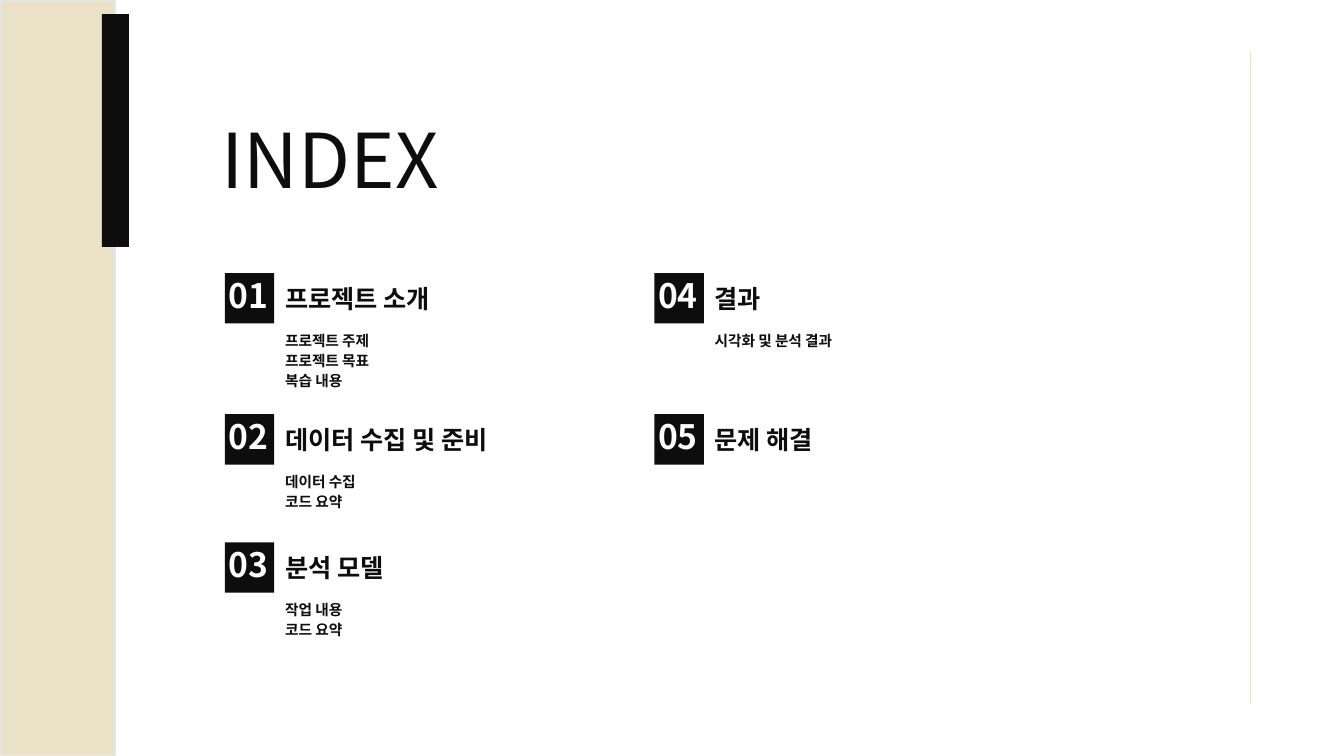
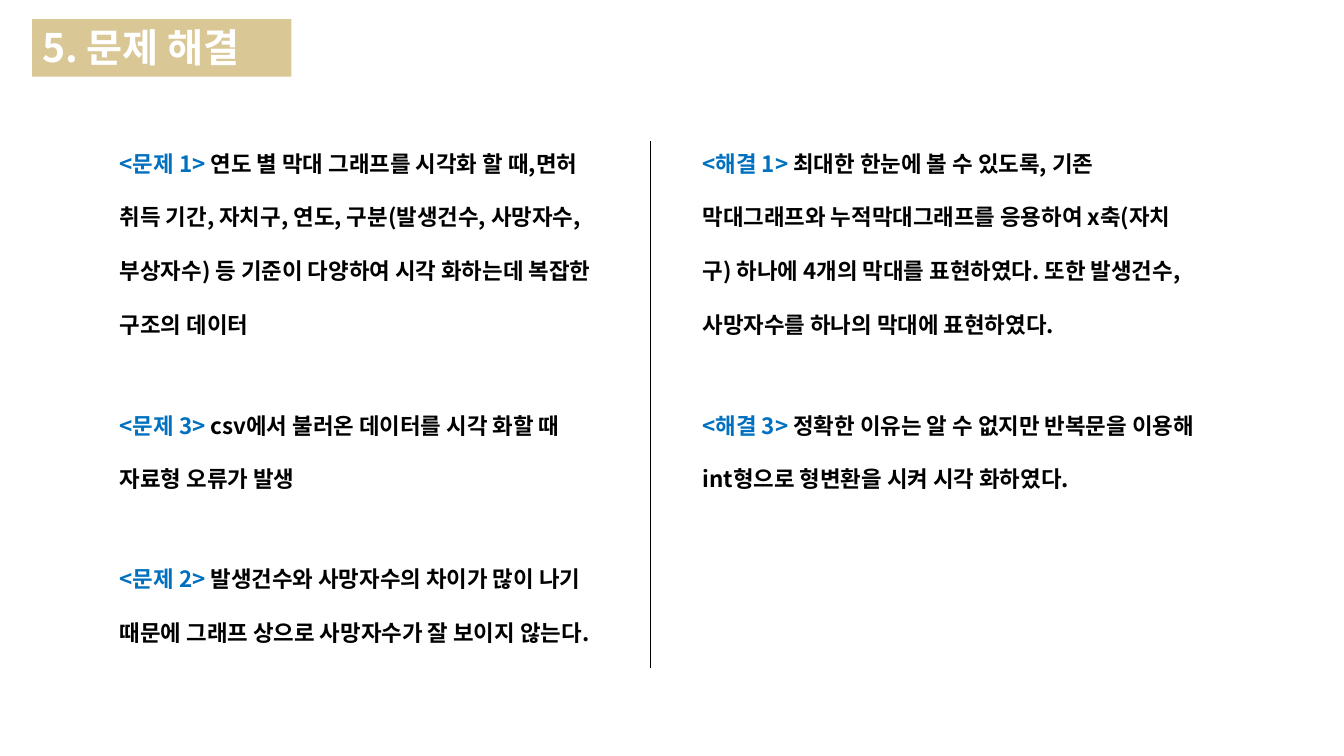
from dataclasses import dataclass

from lxml import etree
from pptx import Presentation
from pptx.dml.color import RGBColor
from pptx.enum.shapes import MSO_CONNECTOR, MSO_SHAPE
from pptx.enum.text import MSO_AUTO_SIZE
from pptx.oxml.ns import qn
from pptx.util import Inches, Pt

RECT = MSO_SHAPE.RECTANGLE
STRAIGHT = MSO_CONNECTOR.STRAIGHT
GROW = MSO_AUTO_SIZE.SHAPE_TO_FIT_TEXT


@dataclass(frozen=True)
class Theme:
    font: str = "Noto Sans CJK KR"
    ink: str = "0D0D0D"
    black: str = "000000"
    white: str = "FFFFFF"
    sand: str = "EBE1C7"
    gold: str = "DAC796"
    edge: str = "E6E6E6"
    blue: str = "0070C0"
    index_size: float = 54
    title_size: float = 28
    number_size: float = 24
    heading_size: float = 18
    body_size: float = 16
    item_size: float = 10.5


T = Theme()

# Columns of chapters: number, heading, items
CHAPTERS = [
    [
        ("01", "프로젝트 소개", ["프로젝트 주제", "프로젝트 목표", "복습 내용"]),
        ("02", "데이터 수집 및 준비", ["데이터 수집", "코드 요약"]),
        ("03", "분석 모델", ["작업 내용", "코드 요약"]),
    ],
    [
        ("04", "결과", ["시각화 및 분석 결과"]),
        ("05", "문제 해결", []),
    ],
]
CHAPTER_LEFTS = [2.23, 6.49]
CHAPTER_TOPS = [2.71, 4.11, 5.38]

# Columns of notes: label, text
NOTES = [
    [
        ("<문제 1> ", "연도 별 막대 그래프를 시각화 할 때,면허 취득 기간, 자치구, 연도, "
                    "구분(발생건수, 사망자수, 부상자수) 등 기준이 다양하여 시각 "
                    "화하는데 복잡한 구조의 데이터"),
        ("<문제 3> ", "csv에서 불러온 데이터를 시각 화할 때 자료형 오류가 발생"),
        ("<문제 2> ", "발생건수와 사망자수의 차이가 많이 나기 때문에 그래프 상으로 "
                    "사망자수가 잘 보이지 않는다."),
    ],
    [
        ("<해결 1> ", "최대한 한눈에 볼 수 있도록, 기존 막대그래프와 누적막대그래프를 "
                    "응용하여 x축(자치구) 하나에 4개의 막대를 표현하였다. 또한 "
                    "발생건수, 사망자수를 하나의 막대에 표현하였다."),
        ("<해결 3> ", "정확한 이유는 알 수 없지만 반복문을 이용해 int형으로 형변환을 "
                    "시켜 시각 화하였다."),
    ],
]
NOTE_LEFTS = [1.09, 6.87]
NOTE_ROWS = [(1.17, 2.17), (3.77, 1.09), (5.29, 1.09)]  # top, height


def rgb(color):
    return RGBColor.from_string(color)


def add_rect(slide, left, top, width, height, fill, line=None):
    sp = slide.shapes.add_shape(RECT, Inches(left), Inches(top), Inches(width), Inches(height))
    sp.shadow.inherit = False
    sp.fill.solid()
    sp.fill.fore_color.rgb = rgb(fill)
    if line:
        sp.line.color.rgb = rgb(line)
        sp.line.width = Pt(1)
    else:
        sp.line.fill.background()


def add_vertical_line(slide, x, top, bottom, color, width):
    line = slide.shapes.add_connector(STRAIGHT, Inches(x), Inches(top), Inches(x), Inches(bottom))
    line.line.color.rgb = rgb(color)
    line.line.width = Pt(width)
    etree.SubElement(line.element.spPr, qn("a:effectLst"))


def add_faint_outline(r, color):
    """Put a nearly transparent hairline around the letters of a run."""
    ln = etree.Element(qn("a:ln"), w=str(Pt(0.75)))
    fill = etree.SubElement(ln, qn("a:solidFill"))
    clr = etree.SubElement(fill, qn("a:srgbClr"), val=color)
    etree.SubElement(clr, qn("a:alpha"), val="15000")
    r.font._element.insert(0, ln)


def add_text(slide, left, top, width, height, runs, size, bold=True, wrap=True,
             spacing=None, outline=False):
    """Add a one-paragraph text box; runs is a list of (text, color)."""
    box = slide.shapes.add_textbox(Inches(left), Inches(top), Inches(width), Inches(height))
    tf = box.text_frame
    tf.word_wrap = wrap
    tf.auto_size = GROW
    p = tf.paragraphs[0]
    if spacing:
        p.line_spacing = spacing
    for text, color in runs:
        r = p.add_run()
        r.text = text
        r.font.size = Pt(size)
        r.font.bold = bold
        r.font.name = T.font
        r.font.color.rgb = rgb(color)
        ea = etree.Element(qn("a:ea"), typeface=T.font)
        r.font._element.find(qn("a:latin")).addnext(ea)
        if outline:
            add_faint_outline(r, color)


def add_chapter(slide, left, top, number, heading, items):
    text_left = left + 0.5
    add_rect(slide, left, top, 0.49, 0.5, T.ink)
    add_text(slide, left - 0.06, top - 0.03, 0.7, 0.5, [(number, T.white)], T.number_size)
    add_text(slide, text_left, top + 0.05, 3.16, 0.4, [(heading, T.ink)],
             T.heading_size, outline=True)
    for i, item in enumerate(items):
        add_text(slide, text_left, top + 0.53 + 0.2 * i, 2.15, 0.28, [(item, T.ink)],
                 T.item_size, outline=True)


def build_index(slide):
    add_text(slide, 2.1, 1.07, 2.42, 1.01, [("INDEX", T.ink)], T.index_size,
             bold=False, wrap=False)
    add_rect(slide, 0, 0, 1.14, 7.5, T.sand, line=T.edge)
    add_vertical_line(slide, 12.4, 0.52, 6.98, T.sand, 1)
    add_rect(slide, 1.01, 0.14, 0.27, 2.31, T.ink)
    for left, chapters in zip(CHAPTER_LEFTS, CHAPTERS):
        for top, chapter in zip(CHAPTER_TOPS, chapters):
            add_chapter(slide, left, top, *chapter)


def build_problems(slide):
    add_rect(slide, 0.32, 0.19, 2.57, 0.57, T.gold)
    add_text(slide, 0.32, 0.18, 2.38, 0.57, [("5. 문제 해결", T.white)], T.title_size, wrap=False)
    for left, notes in zip(NOTE_LEFTS, NOTES):
        for (top, height), (label, text) in zip(NOTE_ROWS, notes):
            add_text(slide, left, top, 5.07, height, [(label, T.blue), (text, T.black)],
                     T.body_size, spacing=2.0)
    add_vertical_line(slide, 6.45, 1.4, 6.63, T.black, 0.5)


def main():
    prs = Presentation()
    prs.slide_width = Inches(13.33)
    prs.slide_height = Inches(7.5)
    for build in (build_index, build_problems):
        build(prs.slides.add_slide(prs.slide_layouts[6]))
    prs.save("out.pptx")


if __name__ == "__main__":
    main()
